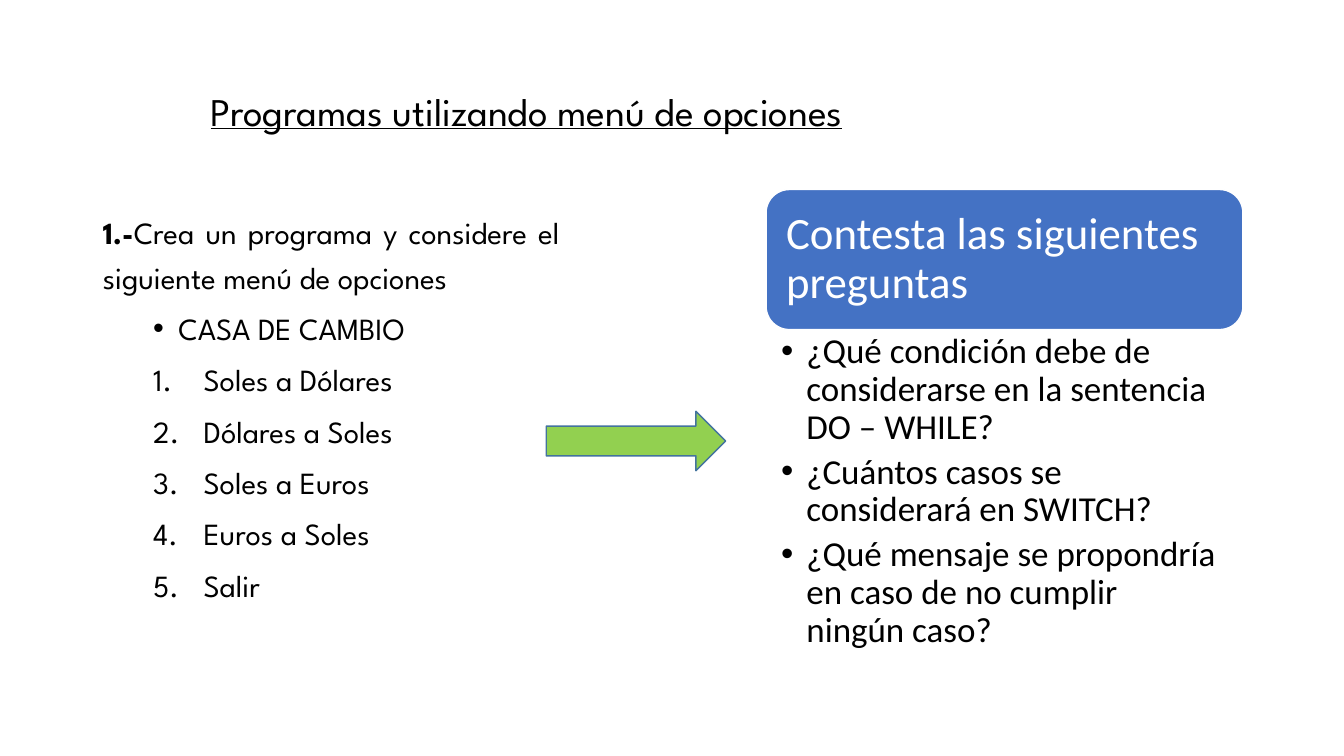
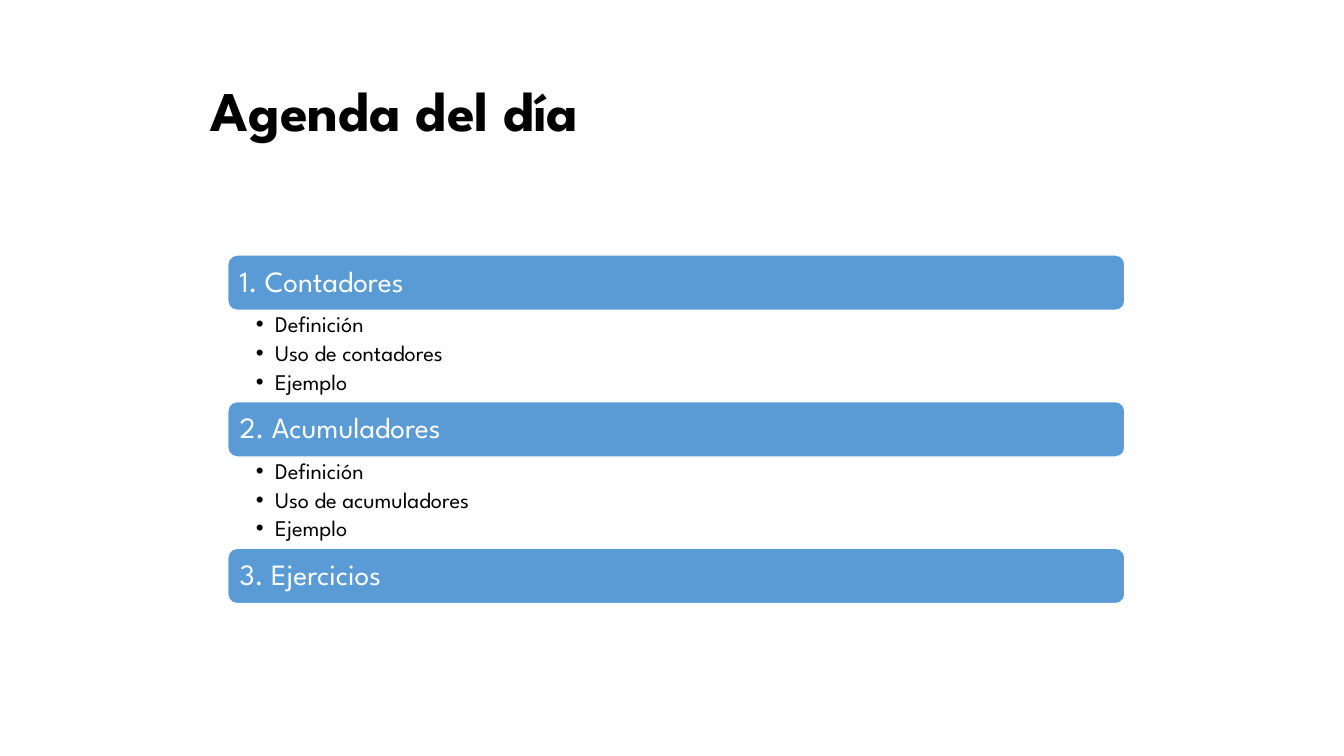
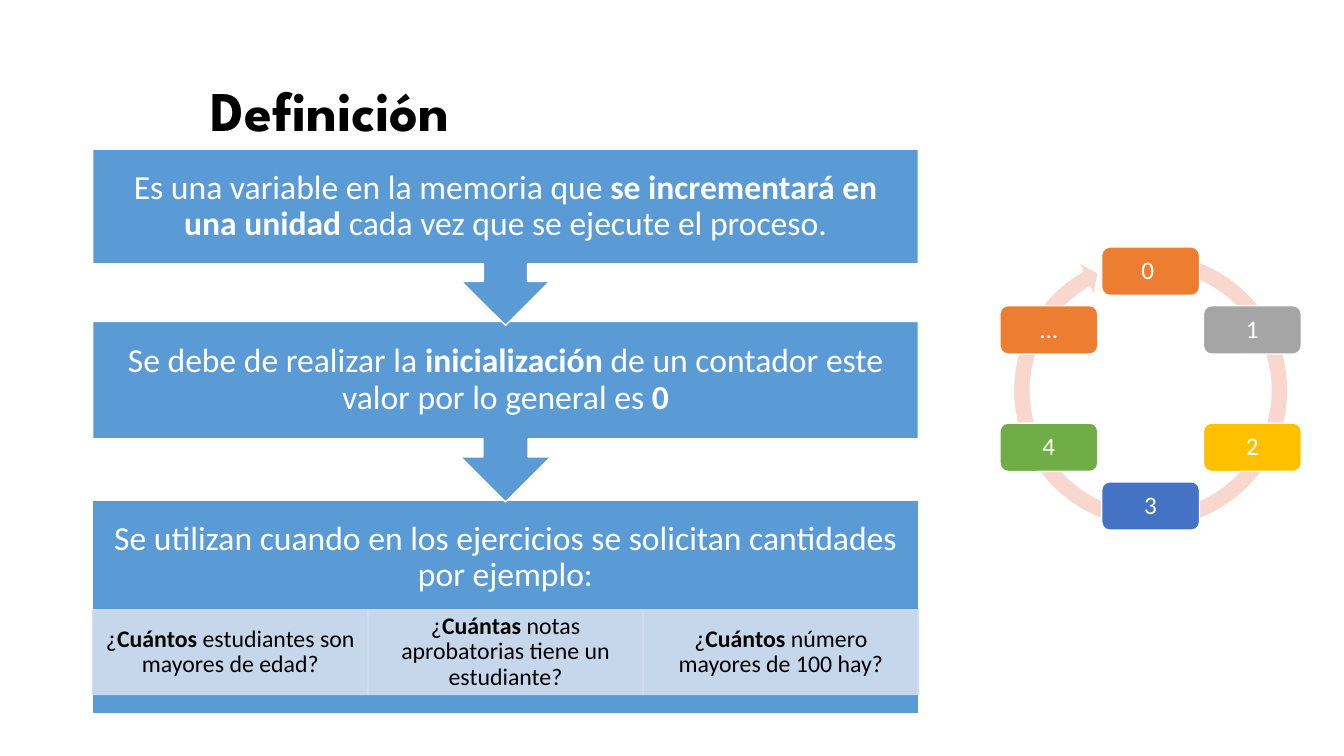
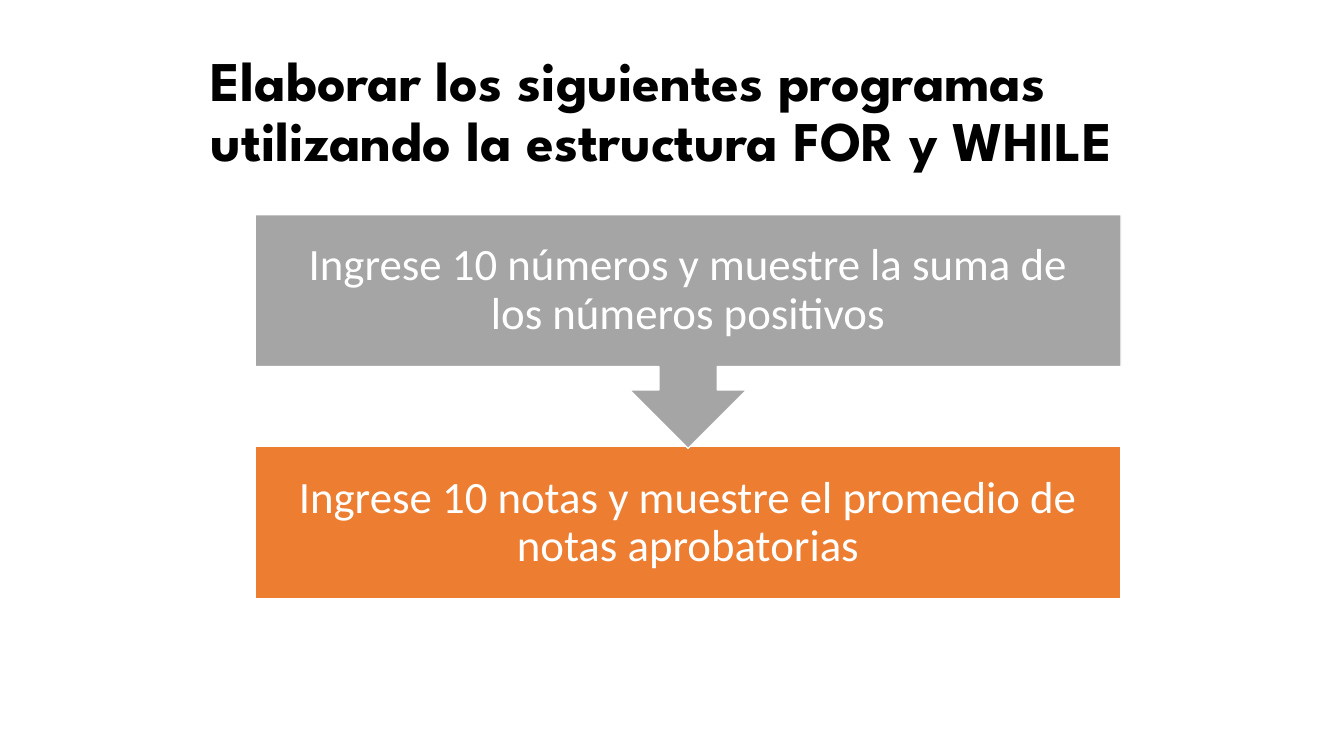
"""Build four class slides about menus, counters and loop exercises."""
import itertools
import math

import lxml.etree
import pptx
import pptx.dml.color
import pptx.enum.shapes
import pptx.enum.text
import pptx.oxml.ns
import pptx.util

SHAPES = pptx.enum.shapes.MSO_SHAPE
ALIGN = pptx.enum.text.PP_ALIGN
ANCHOR = pptx.enum.text.MSO_ANCHOR
qn = pptx.oxml.ns.qn

BLACK, WHITE = "000000", "FFFFFF"
BLUE, INDIGO, ORANGE, GRAY = "5B9BD5", "4472C4", "ED7D31", "A5A5A5"
GOLD, GREEN, LIME, EDGE = "FFC000", "70AD47", "92D050", "43739E"
PALE_BLUE, PALE_ORANGE = "D2DEEF", "F8D7CE"
SPARTAN, CALIBRI = "League Spartan", "Calibri"

presentation = pptx.Presentation()
presentation.slide_width = pptx.util.Inches(13.33)
presentation.slide_height = pptx.util.Inches(7.5)
COLUMN = presentation.slide_width / 100
ROW = presentation.slide_height / 100


def paint(fill, color):
    """Fill an area, a line or a font with a solid hex colour."""
    fill.solid()
    fill.fore_color.rgb = pptx.dml.color.RGBColor.from_string(color)


def write(shape, box, text="", fill=None, line=None, font=CALIBRI, size=18, color=WHITE,
          bold=False, underline=False, align=ALIGN.LEFT, anchor=ANCHOR.MIDDLE,
          insets=(0.1, 0.05, 0.1, 0.05), spacing=0.9, before=0, after=0, marks=(None,)):
    """Place a shape on the 100 by 100 grid and set its look and text; *stars* mark bold."""
    left, top, width, height = box
    shape.left, shape.width = round(left * COLUMN), round(width * COLUMN)
    shape.top, shape.height = round(top * ROW), round(height * ROW)
    shape.shadow.inherit = False
    if fill:
        paint(shape.fill, fill)
    if line:
        paint(shape.line.fill, line)
        shape.line.width = pptx.util.Pt(1)
    else:
        shape.line.fill.background()
    frame = shape.text_frame
    frame.word_wrap = True
    frame.auto_size = pptx.enum.text.MSO_AUTO_SIZE.NONE
    frame.vertical_anchor = anchor
    frame.margin_left, frame.margin_top, frame.margin_right, frame.margin_bottom = map(
        pptx.util.Inches, insets)
    for index, (words, mark) in enumerate(zip(text.split("\n"), itertools.cycle(marks))):
        paragraph = frame.add_paragraph() if index else frame.paragraphs[0]
        paragraph.alignment = align
        paragraph.line_spacing = spacing
        paragraph.space_before = pptx.util.Pt(before)
        paragraph.space_after = pptx.util.Pt(after)
        symbol, indent, hanging = mark or (None, 0, 0)
        properties = paragraph._p.get_or_add_pPr()
        properties.set("marL", str(pptx.util.Inches(indent)))
        properties.set("indent", str(-pptx.util.Inches(hanging)))
        if symbol == "1.":
            lxml.etree.SubElement(properties, qn("a:buFontTx"))
            lxml.etree.SubElement(properties, qn("a:buAutoNum"), type="arabicPeriod")
        elif symbol:
            lxml.etree.SubElement(properties, qn("a:buFont"), typeface="Arial")
            lxml.etree.SubElement(properties, qn("a:buChar"), char=symbol)
        else:
            lxml.etree.SubElement(properties, qn("a:buNone"))
        for part, piece in enumerate(words.split("*")):
            if piece:
                run = paragraph.add_run()
                run.text = piece
                run.font.name = font
                run.font.size = pptx.util.Pt(size)
                run.font.bold = bold or part % 2 == 1
                run.font.underline = underline
                paint(run.font.fill, color)


slides = []
for layout, title, look in [
    (1, "Programas utilizando menú de opciones", {"size": 28, "underline": True}),
    (5, "Agenda del día", {"size": 40, "bold": True}),
    (5, "Definición", {"size": 40, "bold": True}),
    (5, "Elaborar los siguientes programas utilizando la estructura FOR y WHILE",
     {"size": 40, "bold": True}),
]:
    slide = presentation.slides.add_slide(presentation.slide_layouts[layout])
    write(slide.shapes.title, (14.93, 5.35, 78.23, 19.33), title, font=SPARTAN, color=BLACK, **look)
    slides.append(slide)
menu_slide, agenda_slide, definition_slide, exercise_slide = slides

body = menu_slide.placeholders[1]
write(body, (6.9, 26.67, 35.48, 63.47),
      "*1.-*Crea un programa y considere el siguiente menú de opciones\nCASA DE CAMBIO\n"
      "Soles a Dólares\nDólares a Soles\nSoles a Euros\nEuros a Soles\nSalir",
      font=SPARTAN, size=22, color=BLACK, align=ALIGN.JUSTIFY, anchor=ANCHOR.TOP, spacing=1.2,
      before=5, marks=[None, ("•", 0.75, 0.25)] + [("1.", 1, 0.5)] * 5)
body.text_frame.paragraphs[0].space_before = pptx.util.Pt(10)
heading = menu_slide.shapes.add_shape(SHAPES.ROUNDED_RECTANGLE, 0, 0, 0, 0)
write(heading, (57, 25.07, 35.48, 18.53), "Contesta las siguientes preguntas",
      fill=INDIGO, line=WHITE, size=32, insets=[0.13] * 4)
questions = menu_slide.shapes.add_textbox(0, 0, 0, 0)
write(questions, (57, 43.6, 35.48, 44.4),
      "¿Qué condición debe de considerarse en la sentencia DO – WHILE?\n"
      "¿Cuántos casos se considerará en SWITCH?\n"
      "¿Qué mensaje se propondría en caso de no cumplir ningún caso?",
      size=25, color=BLACK, anchor=ANCHOR.TOP, insets=(0.15, 0.04, 0.25, 0.04), after=5,
      marks=[("•", 0.25, 0.25)])
arrow = menu_slide.shapes.add_shape(SHAPES.RIGHT_ARROW, 0, 0, 0, 0)
write(arrow, (40.65, 54.4, 13.35, 7.87), fill=LIME, line=EDGE)

for index, (topic, points) in enumerate([
    ("1. Contadores", "Definición\nUso de contadores\nEjemplo"),
    ("2. Acumuladores", "Definición\nUso de acumuladores\nEjemplo"),
    ("3. Ejercicios", ""),
]):
    top = 33.73 + 19.4 * index
    bar = agenda_slide.shapes.add_shape(SHAPES.ROUNDED_RECTANGLE, 0, 0, 0, 0)
    write(bar, (16.95, top, 66.75, 7.33), topic, fill=BLUE, line=WHITE, font=SPARTAN, size=21,
          insets=[0.09] * 4)
    if points:
        point_list = agenda_slide.shapes.add_textbox(0, 0, 0, 0)
        write(point_list, (16.95, top + 7.33, 66.75, 12.07), points, font=SPARTAN, size=16,
              color=BLACK, anchor=ANCHOR.TOP, insets=(0.28, 0.03, 0.16, 0.03), after=3.2,
              marks=[("•", 0.19, 0.19)])

for slide, kind, box, text, color, size, inset, bottom in [
    (definition_slide, SHAPES.RECTANGLE, (6.9, 66.13, 61.43, 28.27),
     "Se utilizan cuando en los ejercicios se solicitan cantidades por ejemplo:",
     BLUE, 24, 0.19, 1.17),
    (definition_slide, SHAPES.DOWN_ARROW_CALLOUT, (6.9, 42.53, 61.43, 23.87),
     "Se debe de realizar la* inicialización *de un contador este valor por lo general es *0*",
     BLUE, 24, 0.19, 0.19),
    (definition_slide, SHAPES.DOWN_ARROW_CALLOUT, (6.9, 19.73, 61.43, 23.33),
     "Es una variable en la memoria que *se incrementará en una unidad* cada vez que se "
     "ejecute el proceso.", BLUE, 24, 0.19, 0.19),
    (exercise_slide, SHAPES.RECTANGLE, (18.98, 59.07, 64.43, 20.13),
     "Ingrese 10 notas y muestre el promedio de notas aprobatorias", ORANGE, 32, 0.25, 0.25),
    (exercise_slide, SHAPES.DOWN_ARROW_CALLOUT, (18.98, 28.4, 64.43, 30.93),
     "Ingrese 10 números y muestre la suma de los números positivos", GRAY, 32, 0.25, 0.25),
]:
    step = slide.shapes.add_shape(kind, 0, 0, 0, 0)
    write(step, box, text, fill=color, line=WHITE, size=size, align=ALIGN.CENTER,
          insets=(inset, inset, inset, bottom))

for index, example in enumerate([
    "¿*Cuántos* estudiantes son mayores de edad?",
    "¿*Cuántas* notas aprobatorias tiene un estudiante?",
    "¿*Cuántos* número mayores de 100 hay?",
]):
    cell = definition_slide.shapes.add_shape(SHAPES.RECTANGLE, 0, 0, 0, 0)
    write(cell, (6.9 + 20.48 * index, 80.67, 20.48, 11.2), example, fill=PALE_BLUE,
          line=PALE_BLUE, size=17, color=BLACK, align=ALIGN.CENTER,
          insets=(0.13, 0.02, 0.13, 0.02))
    for tint in cell._element.spPr.iter(qn("a:srgbClr")):
        lxml.etree.SubElement(tint, qn("a:alpha"), val="90000")

ring = definition_slide.shapes.add_shape(SHAPES.CIRCULAR_ARROW, 0, 0, 0, 0)
write(ring, (74.85, 32.53, 21.53, 38.27), fill=PALE_ORANGE)
for index, percent in enumerate([5.3, 312.6, 14422.1, 17014.4, 5.5]):
    ring.adjustments[index] = percent / 100

node_width, node_height = 7.28, 6.4
for index, (label, color) in enumerate(
        zip(["0 ", "1", "2", "3", "4", "…"], [ORANGE, GRAY, GOLD, INDIGO, GREEN, ORANGE])):
    angle = math.radians(60 * index)
    left = 85.61 + 8.74 * math.sin(angle) - node_width / 2
    top = 51.4 - 15.53 * math.cos(angle) - node_height / 2
    node = definition_slide.shapes.add_shape(SHAPES.ROUNDED_RECTANGLE, 0, 0, 0, 0)
    write(node, (left, top, node_width, node_height), label, fill=color, line=WHITE,
          align=ALIGN.CENTER, insets=[0.07] * 4)

presentation.save("out.pptx")
